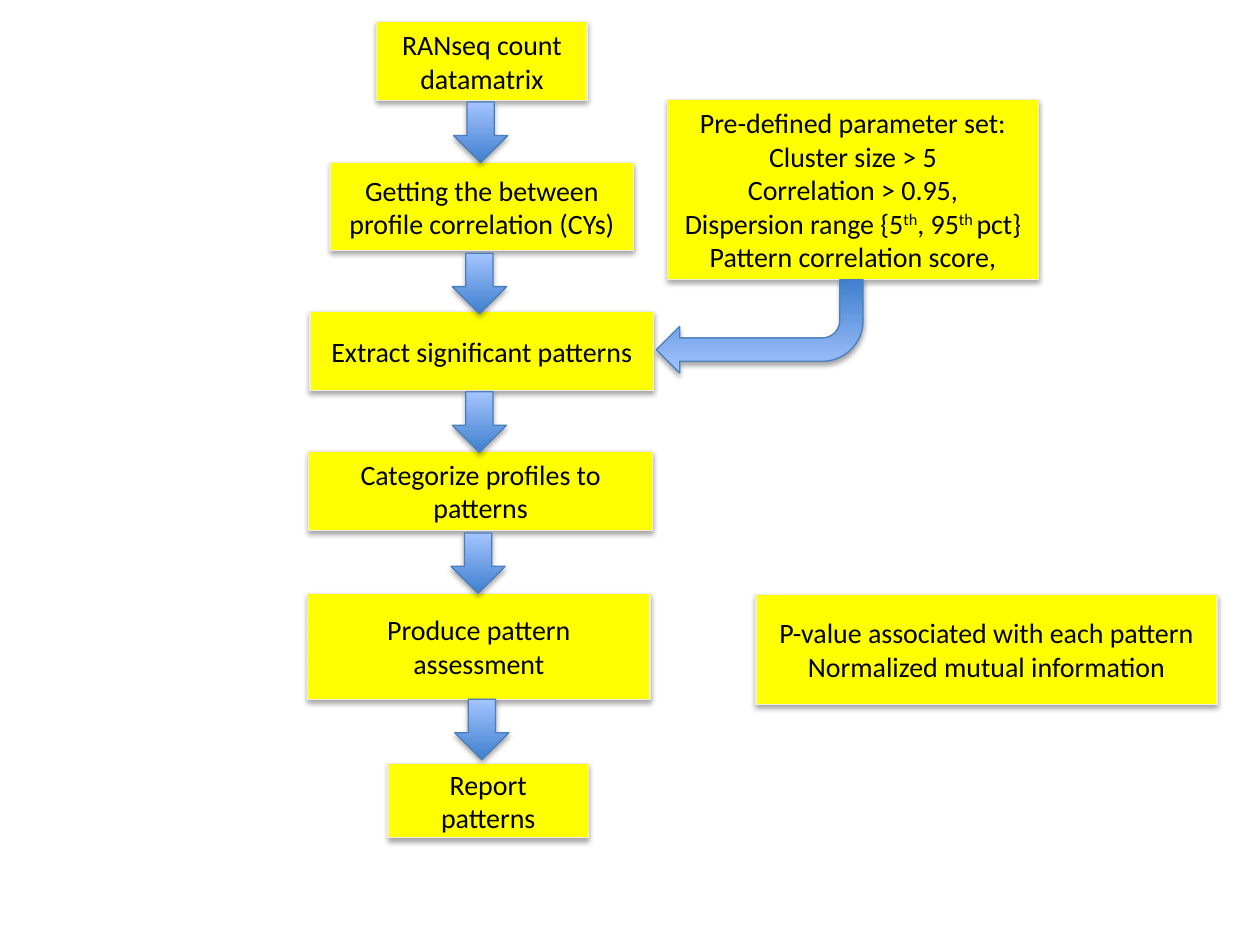
from dataclasses import dataclass

from lxml.etree import SubElement as Sub
from pptx import Presentation
from pptx.dml.color import RGBColor as Rgb
from pptx.enum.shapes import MSO_SHAPE as Kind
from pptx.enum.text import MSO_ANCHOR as Anchor, PP_ALIGN as Align
from pptx.oxml.ns import qn
from pptx.util import Emu, Inches, Pt


@dataclass(frozen=True)
class Theme:
    box: str = "FFFF00"
    rim: str = "EEECE1"
    dark: str = "3F80CE"
    light: str = "A4C4FF"
    edge: str = "4B7EBC"
    ink: str = "000000"
    font: str = "Calibri"
    size: float = 16
    rule: float = 0.75


@dataclass(frozen=True)
class Box:
    """Text box on the grid; ^ marks switch superscript on and off."""
    col: float
    row: float
    wide: float
    high: float
    lines: tuple[str, ...]


@dataclass(frozen=True)
class Arrow:
    col: float
    row: float
    wide: float = 4.3
    high: float = 4.8
    kind: Kind = Kind.DOWN_ARROW
    turn: float = 0


THEME = Theme()
COLS, ROWS = 100, 75

BOXES = (
    # Main flow
    Box(29.9, 1.7, 16.7, 6.3, ("RANseq count datamatrix",)),
    Box(26.2, 12.9, 24.1, 7, ("Getting the between profile correlation (CYs)",)),
    Box(24.6, 24.7, 27.3, 6.3, ("Extract significant patterns",)),
    Box(24.5, 35.8, 27.3, 6.3, ("Categorize profiles to patterns",)),
    Box(24.4, 47.1, 27.2, 8.4, ("Produce pattern assessment",)),
    Box(30.8, 60.6, 15.9, 5.9, ("Report patterns",)),
    # Side notes
    Box(53, 7.9, 29.4, 14.3, (
        "Pre-defined parameter set:",
        "Cluster size > 5",
        "Correlation > 0.95,",
        "Dispersion range {5^th^, 95^th ^pct}",
        "Pattern correlation score,",
    )),
    Box(60, 47.2, 36.6, 8.7, (
        "P-value associated with each pattern",
        "Normalized mutual information",
    )),
)

ARROWS = (
    Arrow(36, 8.1),
    Arrow(35.9, 20.1),
    Arrow(35.9, 31.1),
    Arrow(35.8, 42.3),
    Arrow(36.1, 55.5),
    Arrow(52.1, 22.2, 16.4, 7.4, Kind.BENT_ARROW, 180),
)


def tint(code: str) -> Rgb:
    return Rgb.from_string(code)


def write(frame, lines: tuple[str, ...], *, size: float, font: str,
          ink: str, align=Align.CENTER) -> None:
    frame.word_wrap = True
    frame.vertical_anchor = Anchor.MIDDLE
    for i, line in enumerate(lines):
        para = frame.add_paragraph() if i else frame.paragraphs[0]
        para.alignment = align
        for j, part in enumerate(line.split("^")):
            run = para.add_run()
            run.text = part
            run.font.size = Pt(size)
            run.font.name = font
            run.font.color.rgb = tint(ink)
            if j % 2:
                run.font._element.set("baseline", "30000")


def shade(shape) -> None:
    """Soft shadow straight below the shape."""
    shape.shadow.inherit = False
    fx = shape._element.spPr.find(qn("a:effectLst"))
    drop = Sub(fx, qn("a:outerShdw"), blurRad=str(Pt(3.1)),
               dist=str(Pt(1.8)), dir="5400000", rotWithShape="0")
    hue = Sub(drop, qn("a:srgbClr"), val=THEME.ink)
    Sub(hue, qn("a:alpha"), val="35000")


def place(deck, slide, item: Box | Arrow, kind: Kind, edge: str):
    dx, dy = deck.slide_width / COLS, deck.slide_height / ROWS
    shape = slide.shapes.add_shape(
        kind, Emu(round(item.col * dx)), Emu(round(item.row * dy)),
        Emu(round(item.wide * dx)), Emu(round(item.high * dy)))
    shape.line.color.rgb = tint(edge)
    shape.line.width = Pt(THEME.rule)
    shade(shape)
    return shape


def draw_box(deck, slide, box: Box) -> None:
    shape = place(deck, slide, box, Kind.RECTANGLE, THEME.rim)
    shape.fill.solid()
    shape.fill.fore_color.rgb = tint(THEME.box)
    write(shape.text_frame, box.lines, size=THEME.size,
          font=THEME.font, ink=THEME.ink)


def draw_arrow(deck, slide, arrow: Arrow) -> None:
    shape = place(deck, slide, arrow, arrow.kind, THEME.edge)
    shape.rotation = arrow.turn
    shape.fill.gradient()
    shape.fill.gradient_angle = 90
    for stop, code in zip(shape.fill.gradient_stops, (THEME.dark, THEME.light)):
        stop.color.rgb = tint(code)


def main() -> None:
    deck = Presentation()
    deck.slide_width, deck.slide_height = Inches(10), Inches(7.5)
    slide = deck.slides.add_slide(deck.slide_layouts[6])
    # Boxes first, so that the arrows lie on top
    for box in BOXES:
        draw_box(deck, slide, box)
    for arrow in ARROWS:
        draw_arrow(deck, slide, arrow)
    deck.save("out.pptx")


if __name__ == "__main__":
    main()
